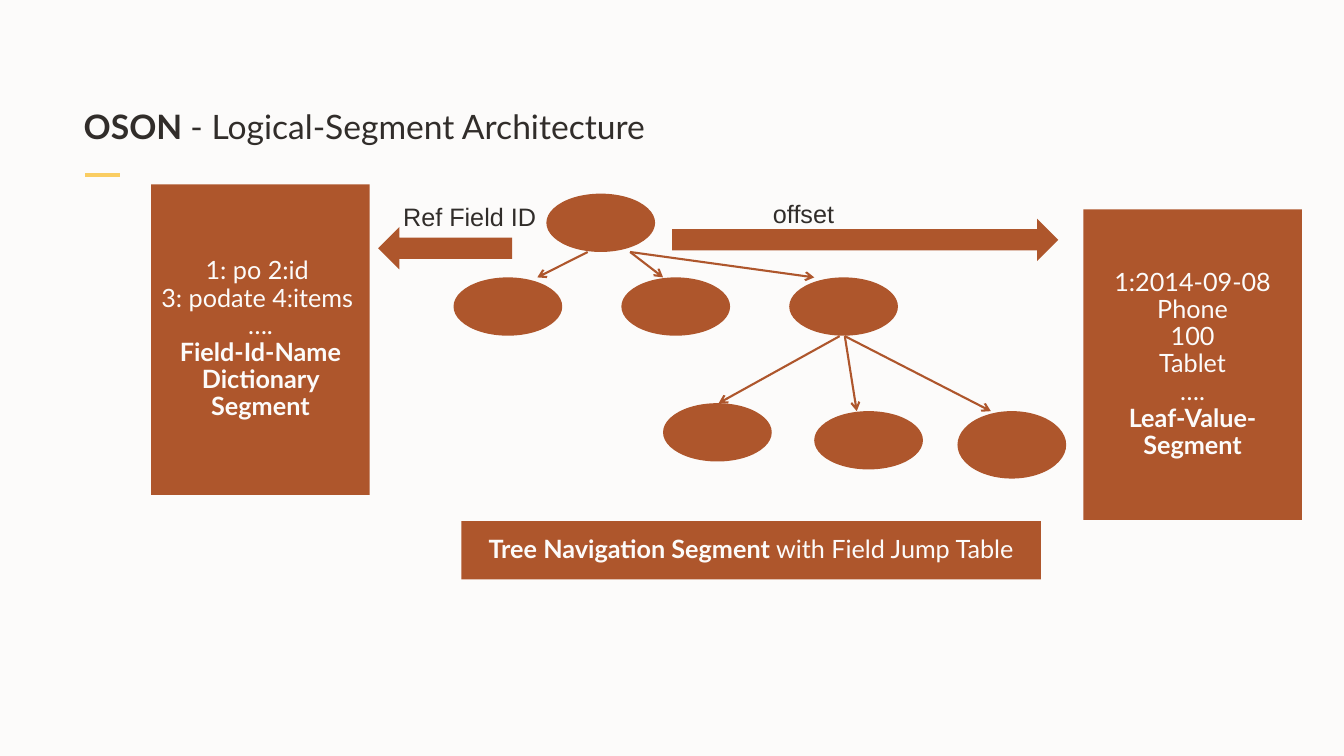
from lxml.etree import SubElement
from pptx import Presentation
from pptx.dml.color import RGBColor
from pptx.enum.shapes import MSO_CONNECTOR as Connector, MSO_SHAPE as Shape
from pptx.enum.text import MSO_ANCHOR as Anchor, PP_ALIGN as Align
from pptx.oxml.ns import qn
from pptx.util import Cm, Pt

COLORS = {"page": "FCFBFA", "ink": "312D2A", "rust": "AE562C", "accent": "FACD62"}
NODE_WIDTH, NODE_HEIGHT = 2.74, 1.47
CHILD_LEFT, CHILD_STEP, CHILD_TOP = 11.43, 4.23, 6.99
SEGMENT_WIDTH, SEGMENT_HEIGHT = 5.51, 7.82


def color(name):
    return RGBColor.from_string(COLORS[name])


def write(box, lines, size, font, ink, spacing, align=Align.LEFT):
    """Fill a box; each line is a list of (text, bold) spans."""
    frame = box.text_frame
    for index, spans in enumerate(lines):
        para = frame.add_paragraph() if index else frame.paragraphs[0]
        para.alignment = align
        para.line_spacing = spacing
        for text, bold in spans:
            span = para.add_run()
            span.text = text
            span.font.name = font
            span.font.size = Pt(size)
            span.font.bold = bold
            span.font.color.rgb = color(ink)


def add_solid(page, kind, left, top, width, height):
    solid = page.shapes.add_shape(kind, Cm(left), Cm(top), Cm(width), Cm(height))
    solid.shadow.inherit = False
    solid.fill.solid()
    solid.fill.fore_color.rgb = color("rust")
    solid.line.fill.background()
    return solid


def add_segment(page, left, top, width, height, lines):
    box = add_solid(page, Shape.RECTANGLE, left, top, width, height)
    box.text_frame.word_wrap = True
    box.text_frame.vertical_anchor = Anchor.MIDDLE
    write(box, lines, 18, "Lato", "page", 0.9, Align.CENTER)


def add_node(page, left, top, height=NODE_HEIGHT):
    add_solid(page, Shape.OVAL, left, top, NODE_WIDTH, height)


def add_line(page, start, end, ink, weight, arrow=False):
    line = page.shapes.add_connector(Connector.STRAIGHT, *map(Cm, start + end))
    line.line.color.rgb = color(ink)
    line.line.width = Pt(weight)
    if arrow:
        SubElement(line.line._get_or_add_ln(), qn("a:tailEnd"), type="arrow")
    SubElement(line._element.spPr, qn("a:effectLst"))


def add_text(page, left, top, width, height, wrap=False):
    box = page.shapes.add_textbox(Cm(left), Cm(top), Cm(width), Cm(height))
    frame = box.text_frame
    frame.word_wrap = wrap
    frame.margin_left = frame.margin_right = frame.margin_top = frame.margin_bottom = 0
    return box


def add_label(page, left, top, width, height, text):
    box = add_text(page, left, top, width, height)
    write(box, [[(text, False)]], 18, "Arial", "ink", 0.9)


def add_title(page):
    add_line(page, (3.02, 4.4), (2.13, 4.4), "accent", 3)
    title = add_text(page, 2.11, 1.42, 29.64, 2.29, wrap=True)
    title.text_frame.vertical_anchor = Anchor.BOTTOM
    spans = [("OSON ", True), ("- Logical-Segment Architecture", False)]
    write(title, [spans], 24, "Lato", "ink", 0.95)
    title.text_frame.paragraphs[0].space_before = Pt(6)


def add_tree(page):
    add_node(page, 13.77, 4.88)
    for child in range(3):
        add_node(page, CHILD_LEFT + child * CHILD_STEP, CHILD_TOP)
    add_node(page, 16.71, 10.16)
    add_node(page, 20.52, 10.36)
    add_node(page, 24.13, 10.36, 1.7)

    for start, end in [
        ((14.81, 6.35), (13.54, CHILD_TOP)),
        ((15.88, 6.35), (16.71, CHILD_TOP)),
        ((15.88, 6.35), (20.52, CHILD_TOP)),
        ((21.16, 8.47), (18.11, 10.16)),
        ((21.29, 8.47), (21.59, 10.36)),
        ((21.29, 8.47), (24.97, 10.36)),
    ]:
        add_line(page, start, end, "rust", 1.5, arrow=True)


def main():
    deck = Presentation()
    deck.slide_width, deck.slide_height = Cm(33.87), Cm(19.05)
    page = deck.slides.add_slide(deck.slide_layouts[6])
    page.background.fill.solid()
    page.background.fill.fore_color.rgb = color("page")

    add_title(page)
    dictionary = ["1: po 2:id ", "3: podate 4:items ", "…."]
    values = ["1:2014-09-08", "Phone", "100", "Tablet", "…."]
    for left, top, entries, name in [
        (3.81, 4.65, dictionary, "Field-Id-Name Dictionary Segment"),
        (27.3, 5.28, values, "Leaf-Value-Segment"),
    ]:
        lines = [[(entry, False)] for entry in entries] + [[(name, True)]]
        add_segment(page, left, top, SEGMENT_WIDTH, SEGMENT_HEIGHT, lines)
    add_tree(page)
    add_segment(page, 11.63, 13.13, 14.6, 1.47,
                [[("Tree Navigation Segment ", True), ("with Field Jump Table", False)]])

    add_solid(page, Shape.RIGHT_ARROW, 16.94, 5.51, 9.73, 1.07)
    add_solid(page, Shape.LEFT_ARROW, 9.53, 5.72, 3.38, 1.07)
    add_label(page, 10.16, 5.16, 3.38, 0.76, "Ref Field ID")
    add_label(page, 19.48, 5.08, 2.54, 0.64, "offset")
    deck.save("out.pptx")


if __name__ == "__main__":
    main()
